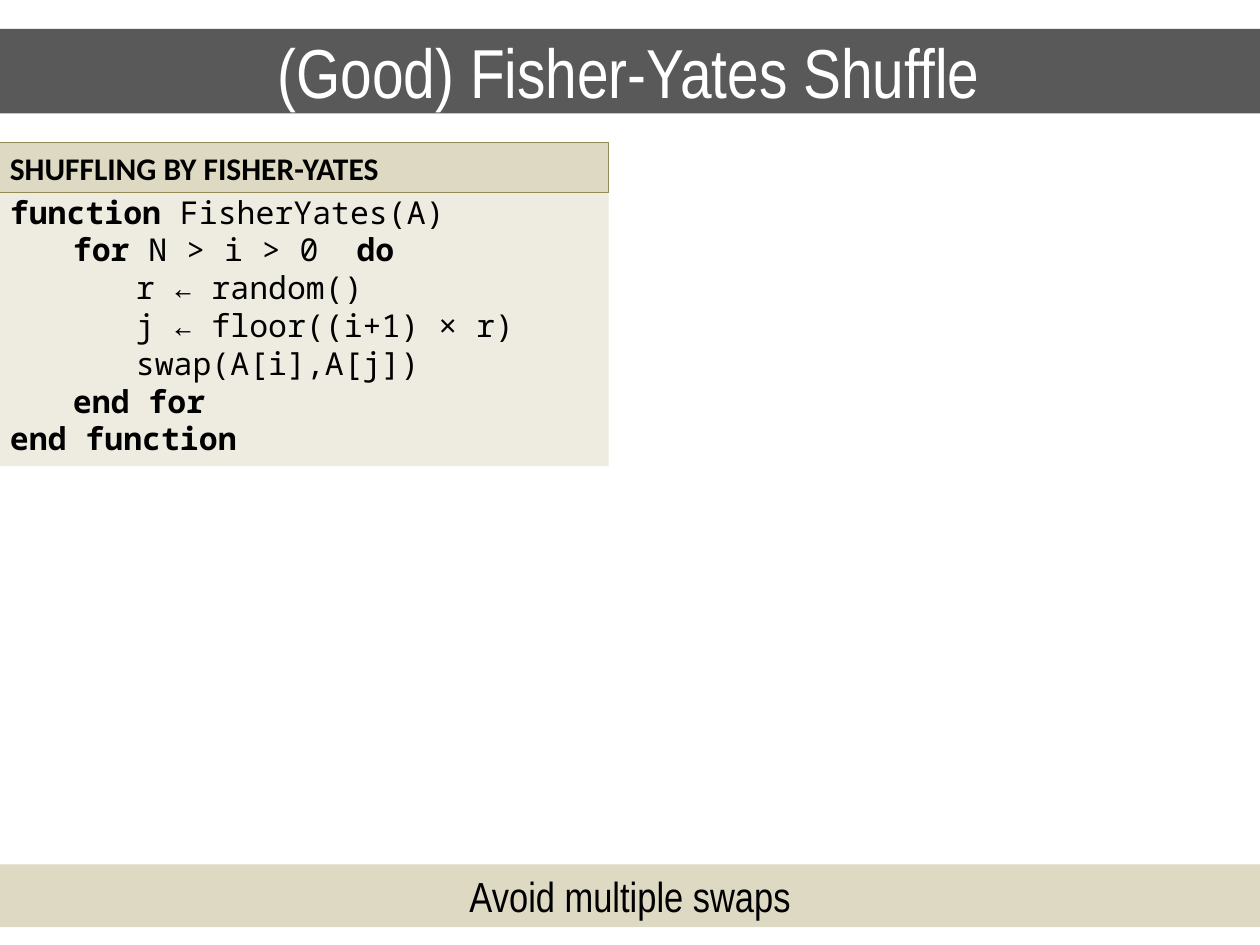
from pptx import Presentation
from pptx.dml.color import RGBColor
from pptx.enum.shapes import MSO_SHAPE
from pptx.enum.text import MSO_ANCHOR, MSO_AUTO_SIZE, PP_ALIGN
from pptx.util import Pt

RECTANGLE = MSO_SHAPE.RECTANGLE
TOP, MIDDLE = MSO_ANCHOR.TOP, MSO_ANCHOR.MIDDLE
LEFT, CENTER = PP_ALIGN.LEFT, PP_ALIGN.CENTER
NO_AUTOFIT = MSO_AUTO_SIZE.NONE
TITLE_ONLY = 5

COLORS = {
    "title_band": "595959",
    "title_text": "FFFFFF",
    "text": "000000",
    "code_panel": "EEECE1",
    "tan": "DDD9C3",
    "tan_border": "948A54",
}

INDENT = 36
PANEL_LEFT, PANEL_WIDTH = -1.44, 349.2

# Each line: indent level, then (text, bold) pieces
PSEUDOCODE = [
    (0, [("function ", True), ("FisherYates(A)", False)]),
    (1, [("for ", True), ("N > i > 0  ", False), ("do", True)]),
    (2, [("r ← random()", False)]),
    (2, [("j ← floor((i+1) × r)", False)]),
    (2, [("swap(A[i],A[j])", False)]),
    (1, [("end for", True)]),
    (0, [("end function", True)]),
]


def color(name):
    return RGBColor.from_string(COLORS[name])


def add_text(paragraph, text, font="Arial Narrow", size=18, ink="text",
             bold=False, align=LEFT):
    paragraph.alignment = align
    run = paragraph.add_run()
    run.text = text
    run.font.name = font
    run.font.size = Pt(size)
    run.font.bold = bold
    run.font.color.rgb = color(ink)


def set_frame(shape, anchor=TOP):
    frame = shape.text_frame
    frame.word_wrap = True
    frame.auto_size = NO_AUTOFIT
    frame.vertical_anchor = anchor
    return frame


def add_band(slide, left, top, width, height, fill, border=None):
    band = slide.shapes.add_shape(
        RECTANGLE, Pt(left), Pt(top), Pt(width), Pt(height))
    band.shadow.inherit = False
    band.fill.solid()
    band.fill.fore_color.rgb = color(fill)
    if border:
        band.line.color.rgb = color(border)
        band.line.width = Pt(0.75)
    else:
        band.line.fill.background()
    return set_frame(band)


def add_title(slide, text):
    title = slide.shapes.title
    title.left, title.top = Pt(-1.44), Pt(16.56)
    title.width, title.height = Pt(721.44), Pt(48.24)
    title.fill.solid()
    title.fill.fore_color.rgb = color("title_band")
    frame = set_frame(title, MIDDLE)
    add_text(frame.paragraphs[0], text, size=39.6, ink="title_text",
             align=CENTER)


def add_code(frame, lines):
    for number, (level, pieces) in enumerate(lines):
        line = frame.add_paragraph() if number else frame.paragraphs[0]
        line.line_spacing = Pt(21.6)
        line._p.get_or_add_pPr().set("marL", str(Pt(level * INDENT)))
        for text, bold in pieces:
            add_text(line, text, font="Noto Sans Mono", bold=bold)


def main():
    prs = Presentation()
    prs.slide_width, prs.slide_height = Pt(720), Pt(540)
    slide = prs.slides.add_slide(prs.slide_layouts[TITLE_ONLY])

    # Title band
    add_title(slide, "(Good) Fisher-Yates Shuffle")

    # Pseudocode panel with its heading
    code = add_band(slide, PANEL_LEFT, 106.56, PANEL_WIDTH, 159.84, "code_panel")
    add_code(code, PSEUDOCODE)
    heading = add_band(slide, PANEL_LEFT, 81.36, PANEL_WIDTH, 28.8, "tan",
                       border="tan_border")
    add_text(heading.paragraphs[0], "SHUFFLING BY FISHER-YATES",
             font="Calibri", bold=True)

    # Takeaway at the bottom
    takeaway = add_band(slide, 0, 493.92, 720, 36, "tan")
    add_text(takeaway.paragraphs[0], "Avoid multiple swaps", size=24,
             align=CENTER)

    prs.save("out.pptx")


if __name__ == "__main__":
    main()
